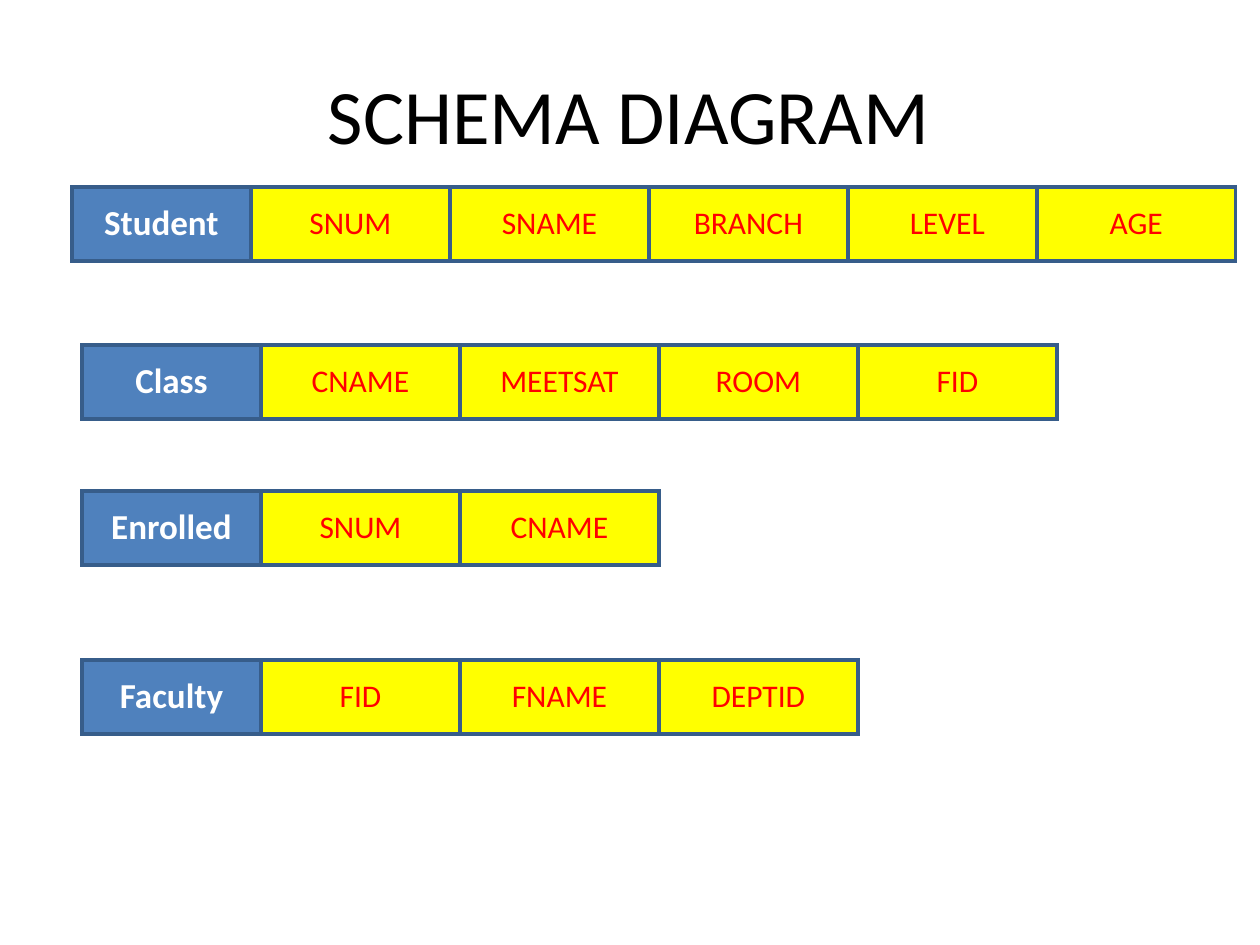
from dataclasses import dataclass

from lxml import etree
from pptx import Presentation
from pptx.dml.color import RGBColor
from pptx.enum.text import MSO_ANCHOR, PP_ALIGN
from pptx.oxml.ns import qn
from pptx.util import Emu, Pt

LEFT, CENTER = PP_ALIGN.LEFT, PP_ALIGN.CENTER
MIDDLE = MSO_ANCHOR.MIDDLE
PIXEL = 914400 // 126
TITLE_ONLY = 5


@dataclass(frozen=True)
class Theme:
    font: str = "Calibri"
    title: str = "000000"
    name_text: str = "FFFFFF"
    name_fill: str = "4F81BD"
    field_text: str = "FF0000"
    field_fill: str = "FFFF00"
    border: str = "375D8A"
    border_width: float = 2.25
    title_size: int = 44
    name_size: int = 20
    field_size: int = 18


THEME = Theme()
ROW_HEIGHT = 74
NAME_WIDTH = 179
FIELD_WIDTH = 199
FIELD_WIDTHS = {"LEVEL": 189}
FIELD_INSETS = {"LEVEL": 10}

RELATIONS = [
    (72, 187, "Student", ["SNUM", "SNAME", "BRANCH", "LEVEL", "AGE"]),
    (82, 345, "Class", ["CNAME", "MEETSAT", "ROOM", "FID"]),
    (82, 491, "Enrolled", ["SNUM", "CNAME"]),
    (82, 660, "Faculty", ["FID", "FNAME", "DEPTID"]),
]


def px(length):
    return Emu(length * PIXEL)


def write_text(frame, text, *, size, color, bold=False, align=CENTER):
    para = frame.paragraphs[0]
    para.alignment = align
    span = para.add_run()
    span.text = text
    span.font.name = THEME.font
    span.font.size = Pt(size)
    span.font.bold = bold
    span.font.color.rgb = RGBColor.from_string(color)


def add_title(page, text):
    box = page.shapes.title
    box.left, box.top, box.width, box.height = map(px, (328, 66, 605, 96))
    frame = box.text_frame
    frame.margin_left = frame.margin_right = 0
    frame.margin_top = frame.margin_bottom = 0
    frame.vertical_anchor = MIDDLE
    write_text(frame, text, size=THEME.title_size, color=THEME.title, align=LEFT)


def add_borders(cell):
    properties = cell._tc.get_or_add_tcPr()
    for side in ("a:lnL", "a:lnR", "a:lnT", "a:lnB"):
        line = etree.SubElement(properties, qn(side), w=str(Pt(THEME.border_width)))
        fill = etree.SubElement(line, qn("a:solidFill"))
        etree.SubElement(fill, qn("a:srgbClr"), val=THEME.border)


def format_cell(cell, text, *, fill, inset=0, **text_format):
    cell.margin_left = px(inset)
    cell.margin_right = cell.margin_top = cell.margin_bottom = 0
    cell.vertical_anchor = MIDDLE
    add_borders(cell)
    cell.fill.solid()
    cell.fill.fore_color.rgb = RGBColor.from_string(fill)
    write_text(cell.text_frame, text, **text_format)


def add_relation(page, left, top, name, fields):
    widths = [NAME_WIDTH] + [FIELD_WIDTHS.get(field, FIELD_WIDTH) for field in fields]
    table = page.shapes.add_table(
        1, len(widths), px(left), px(top), px(sum(widths)), px(ROW_HEIGHT)
    ).table
    table.first_row = table.horz_banding = False
    for column, width in zip(table.columns, widths):
        column.width = px(width)
    format_cell(table.cell(0, 0), name, fill=THEME.name_fill,
                size=THEME.name_size, color=THEME.name_text, bold=True)
    for index, field in enumerate(fields, start=1):
        format_cell(table.cell(0, index), field, fill=THEME.field_fill,
                    inset=FIELD_INSETS.get(field, 0),
                    size=THEME.field_size, color=THEME.field_text)


def main():
    deck = Presentation()
    deck.slide_width, deck.slide_height = px(1260), px(945)
    page = deck.slides.add_slide(deck.slide_layouts[TITLE_ONLY])
    add_title(page, "SCHEMA DIAGRAM")
    for relation in RELATIONS:
        add_relation(page, *relation)
    deck.save("out.pptx")


main()
